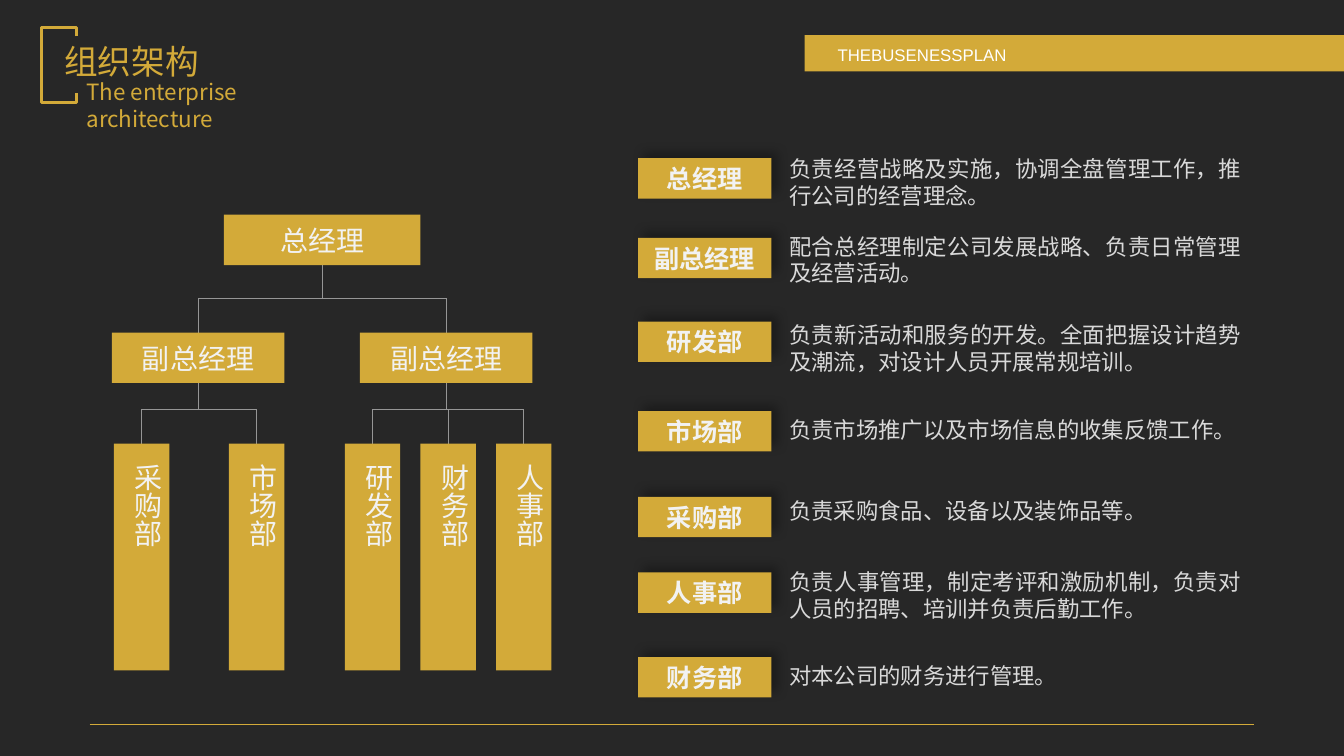
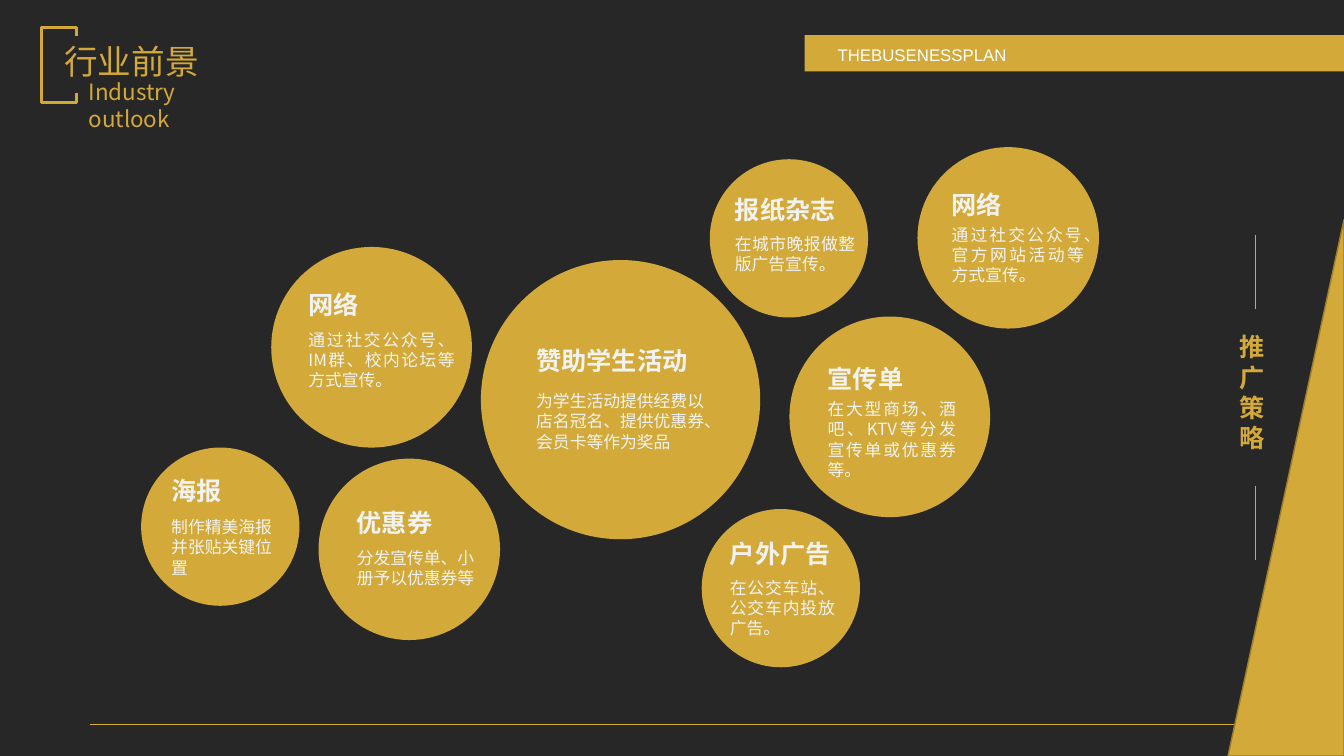
from lxml import etree
from pptx import Presentation
from pptx.dml.color import RGBColor
from pptx.enum.shapes import MSO_CONNECTOR, MSO_SHAPE
from pptx.enum.text import MSO_ANCHOR, PP_ALIGN
from pptx.oxml.ns import qn
from pptx.util import Inches, Pt

RECT, OVAL, WEDGE = MSO_SHAPE.RECTANGLE, MSO_SHAPE.OVAL, MSO_SHAPE.RIGHT_TRIANGLE
LINE = MSO_CONNECTOR.STRAIGHT
LEFT, MID, JUST = PP_ALIGN.LEFT, PP_ALIGN.CENTER, PP_ALIGN.JUSTIFY
TOP, CENTER = MSO_ANCHOR.TOP, MSO_ANCHOR.MIDDLE

WIDE, HIGH = 13.33, 7.5
DARK, GOLD, EDGE = "272727", "D3AA39", "9C7E2A"
PALE, SOFT, GREY, WHITE = "F2F2F2", "D9D9D9", "969696", "FFFFFF"
CJK, SANS = "Noto Sans CJK SC", "Arial"

# Boxes: left, top, width, height
CHIEF = ("总经理", (2.22, 2.13, 1.95, 0.5))
TEAMS = [
    ("副总经理", (1.11, 3.3, 1.71, 0.5), [("采购部", 1.13), ("市场部", 2.27)]),
    ("副总经理", (3.57, 3.3, 1.71, 0.5),
     [("研发部", 3.42), ("财务部", 4.17), ("人事部", 4.92)]),
]
UNIT_TOP, UNIT_W, UNIT_H = 4.4, 0.55, 2.25

# Role, badge top, duty, duty top, lines
ROLES = [
    ("总经理", 1.57, "负责经营战略及实施，协调全盘管理工作，推行公司的经营理念。", 1.49, 2),
    ("副总经理", 2.36, "配合总经理制定公司发展战略、负责日常管理及经营活动。", 2.26, 2),
    ("研发部", 3.19, "负责新活动和服务的开发。全面把握设计趋势及潮流，对设计人员开展常规培训。", 3.14, 2),
    ("市场部", 4.08, "负责市场推广以及市场信息的收集反馈工作。", 4.08, 1),
    ("采购部", 4.93, "负责采购食品、设备以及装饰品等。", 4.88, 1),
    ("人事部", 5.68, "负责人事管理，制定考评和激励机制，负责对人员的招聘、培训并负责后勤工作。", 5.59, 2),
    ("财务部", 6.52, "对本公司的财务进行管理。", 6.52, 1),
]

# Circle (left, top, size), title, body, text left, title top, body top, body width, lines, align
BUBBLES = [
    ((4.77, 2.58, 2.77), "赞助学生活动", "为学生活动提供经费以店名冠名、提供优惠券、会员卡等作为奖品",
     5.22, 3.38, 3.83, 1.87, 3, LEFT),
    ((3.16, 4.55, 1.8), "优惠券", "分发宣传单、小册予以优惠券等",
     3.44, 4.98, 5.38, 1.52, 2, LEFT),
    ((7.83, 3.14, 1.99), "宣传单", "在大型商场、酒吧、KTV等分发宣传单或优惠券等。",
     8.11, 3.56, 3.91, 1.47, 4, JUST),
    ((6.96, 5.05, 1.57), "户外广告", "在公交车站、公交车内投放广告。",
     7.14, 5.29, 5.68, 1.24, 3, JUST),
    ((7.04, 1.58, 1.57), "报纸杂志", "在城市晚报做整版广告宣传。",
     7.19, 1.88, 2.27, 1.39, 2, JUST),
    ((9.1, 1.46, 1.8), "网络", "通过社交公众号、官方网站活动等方式宣传。",
     9.34, 1.83, 2.18, 1.51, 3, JUST),
    ((1.4, 4.44, 1.57), "海报", "制作精美海报并张贴关键位置",
     1.6, 4.67, 5.08, 1.31, 3, LEFT),
    ((2.69, 2.45, 1.99), "网络", "通过社交公众号、IM群、校内论坛等方式宣传。",
     2.96, 2.82, 3.22, 1.65, 3, JUST),
]


def rgb(code):
    return RGBColor.from_string(code)


def inch(*sizes):
    return [Inches(size) for size in sizes]


def write(shape, text, size, color, align=LEFT, bold=False, font=CJK, anchor=TOP):
    frame = shape.text_frame
    frame.word_wrap = True
    frame.vertical_anchor = anchor
    para = frame.paragraphs[0]
    para.text = text
    para.alignment = align
    face = para.font
    face.name, face.size, face.bold = font, Pt(size), bold
    face.color.rgb = rgb(color)
    props = para._p.pPr.find(qn("a:defRPr"))
    etree.SubElement(props, qn("a:ea")).set("typeface", font)


def label(slide, box, text, size, color, **style):
    write(slide.shapes.add_textbox(*inch(*box)), text, size, color, **style)


def block(slide, kind, box):
    shape = slide.shapes.add_shape(kind, *inch(*box))
    shape.shadow.inherit = False
    shape.fill.solid()
    shape.fill.fore_color.rgb = rgb(GOLD)
    shape.line.fill.background()
    return shape


def rule(slide, start, end, color=GOLD, width=0.5):
    line = slide.shapes.add_connector(LINE, *inch(*start, *end))
    line.line.color.rgb = rgb(color)
    line.line.width = Pt(width)
    etree.SubElement(line._element.spPr, qn("a:effectLst"))


def shade(shape):
    """Cast a soft shadow up and to the right."""
    glow = etree.SubElement(shape._element.spPr.find(qn("a:effectLst")), qn("a:outerShdw"))
    for key, value in (("blurRad", Pt(8)), ("dist", Pt(6)), ("dir", 315 * 60000)):
        glow.set(key, str(int(value)))
    tone = etree.SubElement(glow, qn("a:srgbClr"), val="000000")
    etree.SubElement(tone, qn("a:alpha"), val="30000")


def start(deck, title, sub, left, width):
    """Add a slide with the shared band, footer line and bracketed title."""
    slide = deck.slides.add_slide(deck.slide_layouts[6])
    slide.background.fill.solid()
    slide.background.fill.fore_color.rgb = rgb(DARK)
    block(slide, RECT, (7.98, 0.35, WIDE - 7.98, 0.36))
    label(slide, (8.21, 0.39, 4.9, 0.3), "THEBUSENESSPLAN", 12, WHITE, align=JUST, font=SANS)
    rule(slide, (0.89, 7.19), (12.44, 7.19))
    path = slide.shapes.build_freeform(76, 36, scale=Inches(0.01))
    path.add_line_segments([(76, 27), (41, 27), (41, 102), (76, 102), (76, 92)], close=False)
    mark = path.convert_to_shape()
    mark.shadow.inherit = False
    mark.fill.background()
    mark.line.color.rgb = rgb(GOLD)
    mark.line.width = Pt(2.25)
    label(slide, (0.54, 0.36, 2.59, 0.5), title, 24, GOLD)
    label(slide, (left, 0.73, width, 0.64), sub, 16, GOLD)
    return slide


def link(slide, box, kids):
    """Join the foot of a box to the heads of the boxes below it."""
    left, top, width, height = box
    stem, foot = left + width / 2, top + height
    heads = [kid[0] + kid[2] / 2 for kid in kids]
    low = kids[0][1]
    bar = low - 0.34
    lines = [((stem, foot), (stem, bar)), ((heads[0], bar), (heads[-1], bar))]
    lines += [((head, bar), (head, low)) for head in heads]
    for ends in lines:
        rule(slide, *ends, GREY, 0.63)


def post(slide, name, box):
    write(block(slide, RECT, box), name, 20, PALE, align=MID, anchor=CENTER)


def unit(slide, name, box):
    """Draw a tall box with its name running down."""
    shape = block(slide, RECT, box)
    write(shape, name, 20, PALE, anchor=CENTER)
    frame = shape.text_frame
    frame.margin_top, frame.margin_bottom = inch(0.2, 0.05)
    frame.margin_left, frame.margin_right = inch(0.12, 0)
    frame._txBody.bodyPr.set("vert", "eaVert")


def chart(deck):
    slide = start(deck, "组织架构", "The enterprise architecture", 0.76, 2.94)
    link(slide, CHIEF[1], [box for _, box, _ in TEAMS])
    post(slide, *CHIEF)
    for name, box, units in TEAMS:
        kids = [(left, UNIT_TOP, UNIT_W, UNIT_H) for _, left in units]
        link(slide, box, kids)
        post(slide, name, box)
        for (title, _), kid in zip(units, kids):
            unit(slide, title, kid)
    for role, top, duty, high, rows in ROLES:
        badge = block(slide, RECT, (6.33, top, 1.32, 0.4))
        shade(badge)
        write(badge, role, 18, PALE, align=MID, bold=True, anchor=CENTER)
        label(slide, (7.73, high, 4.68, 0.1 + 0.27 * rows), duty, 16, SOFT, align=JUST)


def outlook(deck):
    slide = start(deck, "行业前景", "Industry outlook", 0.78, 1.75)
    for (x, y, size), title, body, left, top, low, width, rows, align in BUBBLES:
        block(slide, OVAL, (x, y, size, size))
        label(slide, (left, top, 1.82, 0.4), title, 18, PALE, bold=True)
        label(slide, (left, low, width, 0.1 + 0.2 * rows), body, 12, PALE, align=align)
    label(slide, (12.19, 3.24, 0.59, 1.31), "推广策略", 18, GOLD, bold=True)
    for top in (2.33, 4.82):
        rule(slide, (12.45, top), (12.45, top + 0.74))
    wedge = block(slide, WEDGE, (WIDE - 1.15, HIGH - 5.32, 1.15, 5.32))
    wedge._element.spPr.xfrm.set("flipH", "1")
    wedge.line.color.rgb = rgb(EDGE)
    wedge.line.width = Pt(1)


def main():
    deck = Presentation()
    deck.slide_width, deck.slide_height = inch(WIDE, HIGH)
    chart(deck)
    outlook(deck)
    deck.save("out.pptx")


if __name__ == "__main__":
    main()
